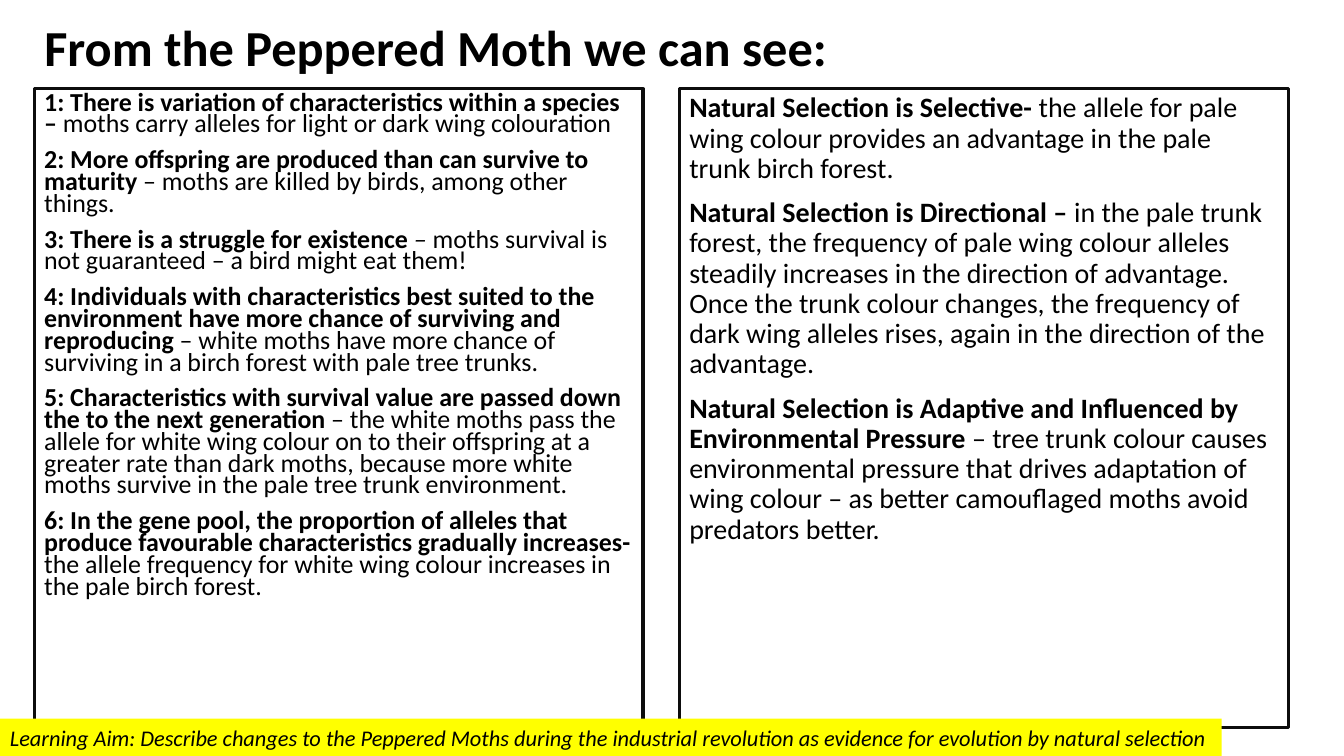
"""Build the slide on what the Peppered Moth shows about natural selection."""
from pptx import Presentation
from pptx.dml.color import RGBColor
from pptx.enum.shapes import MSO_SHAPE
from pptx.enum.text import MSO_ANCHOR, MSO_AUTO_SIZE, PP_ALIGN
from pptx.util import Pt

RECTANGLE = MSO_SHAPE.RECTANGLE
TOP, MIDDLE = MSO_ANCHOR.TOP, MSO_ANCHOR.MIDDLE
NO_AUTOFIT = MSO_AUTO_SIZE.NONE
LEFT = PP_ALIGN.LEFT

TITLE = "From the Peppered Moth we can see:"
AIM = (
    "Learning Aim: Describe changes to the Peppered Moths during the industrial "
    "revolution as evidence for evolution by natural selection"
)
BOLD, ITALIC, PLAIN = {"bold": True}, {"italic": True}, {}

PRINCIPLES = [
    [("1: There is variation of characteristics within a species – ", BOLD),
     ("moths carry alleles for light or dark wing colouration", PLAIN)],
    [("2: More offspring are produced than can survive to maturity", BOLD),
     (" – moths are killed by birds, among other things.", PLAIN)],
    [("3: There is a struggle for existence ", BOLD),
     ("– ", ITALIC),
     ("moths survival is not guaranteed – a bird might eat them!", PLAIN)],
    [("4: Individuals with characteristics best suited to the environment have "
      "more chance of surviving and reproducing", BOLD),
     (" – white moths have more chance of surviving in a birch forest with pale "
      "tree trunks.", PLAIN)],
    [("5: Characteristics with survival value are passed down the to the next "
      "generation", BOLD),
     (" – the white moths pass the allele for white wing colour on to their "
      "offspring at a greater rate than dark moths, because more white moths "
      "survive in the pale tree trunk environment.", PLAIN)],
    [("6: In the gene pool, the proportion of alleles that produce favourable "
      "characteristics gradually increases- ", BOLD),
     ("the allele frequency for white wing colour increases in the pale birch "
      "forest.", PLAIN)],
]
CONCLUSIONS = [
    [("Natural Selection is Selective-", BOLD),
     (" the allele for pale wing colour provides an advantage in the pale trunk "
      "birch forest.", PLAIN)],
    [("Natural Selection is Directional – ", BOLD),
     ("in the pale trunk forest, the frequency of pale wing colour alleles "
      "steadily increases in the direction of advantage. Once the trunk colour "
      "changes, the frequency of dark wing alleles rises, again in the direction "
      "of the advantage.", PLAIN)],
    [("Natural Selection is Adaptive and Influenced by Environmental Pressure", BOLD),
     (" – tree trunk colour causes environmental pressure that drives adaptation "
      "of wing colour – as better camouflaged moths avoid predators better.", PLAIN)],
]


def color(value):
    """Turn a hex string into a colour."""
    return RGBColor.from_string(value)


def write(shape, paragraphs, size, anchor, spacing):
    """Fill a shape with paragraphs made of formatted runs."""
    frame = shape.text_frame
    frame.word_wrap = True
    frame.auto_size = NO_AUTOFIT
    frame.vertical_anchor = anchor
    for index, runs in enumerate(paragraphs):
        paragraph = frame.add_paragraph() if index else frame.paragraphs[0]
        for name, value in {"alignment": LEFT, **spacing}.items():
            setattr(paragraph, name, value)
        for text, style in runs:
            run = paragraph.add_run()
            run.text = text
            run.font.color.rgb = color("000000")
            font_format = {"name": "Calibri", "size": Pt(size), "bold": False,
                           "italic": False, **style}
            for name, value in font_format.items():
                setattr(run.font, name, value)


presentation = Presentation()
presentation.slide_width, presentation.slide_height = Pt(960), Pt(540)
slide = presentation.slides.add_slide(presentation.slide_layouts[5])

title = slide.shapes.title
title_place = {"left": 24.5, "top": 18, "width": 828, "height": 36}
for name, value in title_place.items():
    setattr(title, name, Pt(value))
write(title, [[(TITLE, BOLD)]], 36, MIDDLE, {"line_spacing": 0.9})

columns = [(24.5, PRINCIPLES, 18.5, 0.7), (485.3, CONCLUSIONS, 20, 0.9)]
for left, paragraphs, size, line_spacing in columns:
    column = slide.shapes.add_shape(RECTANGLE, Pt(left), Pt(63.4), Pt(434.9), Pt(456.5))
    column.shadow.inherit = False
    column.fill.background()
    column.line.color.rgb = color("0D0D0D")
    column.line.width = Pt(2.25)
    write(column, paragraphs, size, TOP,
          {"line_spacing": line_spacing, "space_before": Pt(10)})

aim_bar = slide.shapes.add_shape(RECTANGLE, 0, Pt(513.4), Pt(872.6), Pt(26.6))
aim_bar.shadow.inherit = False
aim_bar.fill.solid()
aim_bar.fill.fore_color.rgb = color("FFFF00")
aim_bar.line.fill.background()
write(aim_bar, [[(AIM, ITALIC)]], 16, TOP, {})

presentation.save("out.pptx")
